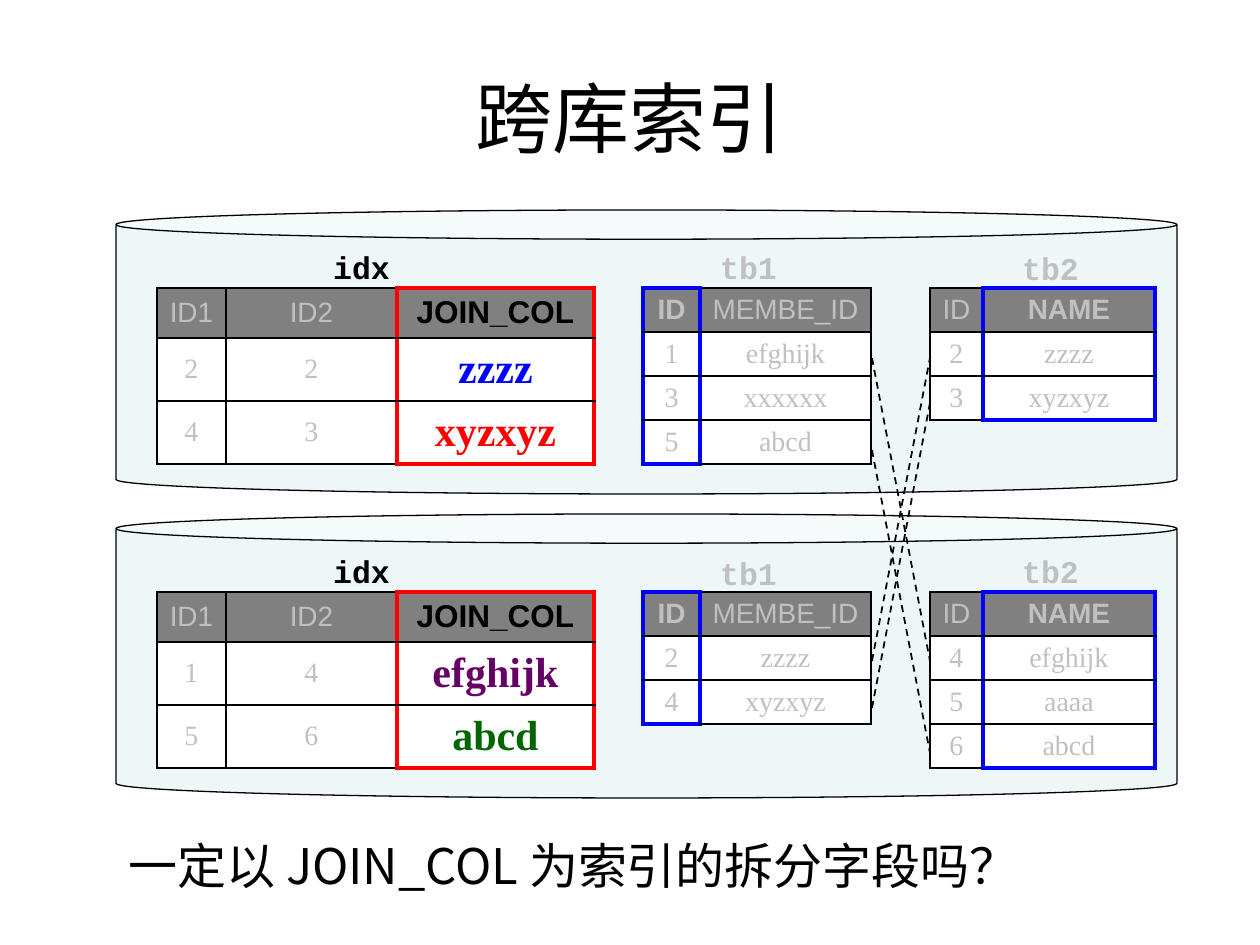
from lxml import etree
from pptx import Presentation
from pptx.dml.color import RGBColor
from pptx.enum.dml import MSO_LINE
from pptx.enum.shapes import MSO_CONNECTOR, MSO_SHAPE
from pptx.enum.text import MSO_ANCHOR, PP_ALIGN
from pptx.oxml.ns import qn
from pptx.util import Pt

PX = 7257
CAN, LINE, DASH = MSO_SHAPE.CAN, MSO_CONNECTOR.STRAIGHT, MSO_LINE.DASH
LEFT, MID = PP_ALIGN.LEFT, PP_ALIGN.CENTER
CENTER = MSO_ANCHOR.MIDDLE
SANS, SERIF, MONO, HAN = "Arial", "Times New Roman", "Courier New", "Noto Sans CJK SC"
BLACK, GREY, DARK, WHITE = "000000", "C0C0C0", "808080", "FFFFFF"
RED, BLUE, PLUM, GREEN = "FF0000", "0000FF", "660066", "006600"
hue = RGBColor.from_string


def write(frame, text, size=16, font=SANS, color=BLACK, bold=False, align=MID):
    para = frame.paragraphs[0]
    para.alignment = align
    run = para.add_run()
    run.text = text
    run.font.size = Pt(size)
    run.font.bold = bold
    run.font.color.rgb = hue(color)
    run.font.name = font
    etree.SubElement(run._r.get_or_add_rPr(), qn("a:ea")).set("typeface", font)


def edge(cell, side, color, width):
    line = etree.SubElement(cell._tc.get_or_add_tcPr(), qn("a:" + side))
    line.set("w", str(Pt(width)))
    fill = etree.SubElement(line, qn("a:solidFill"))
    etree.SubElement(fill, qn("a:srgbClr")).set("val", color)


deck = Presentation()
deck.slide_width, deck.slide_height = 1260 * PX, 945 * PX
slide = deck.slides.add_slide(deck.slide_layouts[5])
shapes = slide.shapes

title = shapes.title
title.left, title.top, title.width, title.height = 63 * PX, 38 * PX, 1134 * PX, 158 * PX
title.text_frame.vertical_anchor = CENTER
write(title.text_frame, "跨库索引", size=44, font=HAN)

for top in (514, 210):
    can = shapes.add_shape(CAN, 116 * PX, top * PX, 1061 * PX, 284 * PX)
    can.adjustments[0] = 0.103
    can.shadow.inherit = False
    can.fill.solid()
    can.fill.fore_color.rgb = hue("BBE0E3")
    tint = can._element.spPr.find(qn("a:solidFill"))[0]
    etree.SubElement(tint, qn("a:alpha")).set("val", "24000")
    can.line.color.rgb = hue(BLACK)
    can.line.width = Pt(0.75)

idx = (157, [69, 171, 197], [50, 63, 63], 2, RED)
tb1 = (643, [57, 171], [44] * 4, 0, BLUE)
tb2 = (930, [53, 172], [44] * 4, 1, BLUE)
join = ["ID1", "ID2", "JOIN_COL"]
user = ["ID", "MEMBE_ID"]
name = ["ID", "NAME"]
tables = [
    (tb1, 592, [user, ["2", "zzzz"], ["4", "xyzxyz"]]),
    (tb2, 592, [name, ["4", "efghijk"], ["5", "aaaa"], ["6", "abcd"]]),
    (tb1, 288, [user, ["1", "efghijk"], ["3", "xxxxxx"], ["5", "abcd"]]),
    (tb2, 288, [name, ["2", "zzzz"], ["3", "xyzxyz"]]),
    (idx, 288, [join, ["2", "2", "zzzz"], ["4", "3", "xyzxyz"]]),
    (idx, 592, [join, ["1", "4", "efghijk"], ["5", "6", "abcd"]]),
]
tones = {"JOIN_COL": BLACK, "zzzz": BLUE, "xyzxyz": RED, "efghijk": PLUM, "abcd": GREEN}

for (left, wide, tall, key, mark), top, rows in tables:
    tall = tall[:len(rows)]
    grid = shapes.add_table(len(rows), len(wide), left * PX, top * PX,
                            sum(wide) * PX, sum(tall) * PX).table
    grid.horz_banding = False
    for col, width in zip(grid.columns, wide):
        col.width = width * PX
    for i, row in enumerate(rows):
        grid.rows[i].height = tall[i] * PX
        for j, word in enumerate(row):
            cell = grid.cell(i, j)
            cell.margin_left = cell.margin_right = 6 * PX
            cell.margin_top = cell.margin_bottom = 2 * PX
            cell.vertical_anchor = CENTER
            head, hot = i == 0, j == key
            bold = hot and (head or mark == RED)
            size, color = 16, GREY
            if hot and mark == RED:
                size, color = 18 if head else 24, tones[word]
            write(cell.text_frame, word, size=size, color=color, bold=bold,
                  font=SANS if head else SERIF)
            thick = {
                "lnL": hot or j - 1 == key,
                "lnR": hot or j + 1 == key,
                "lnT": hot and head,
                "lnB": hot and i == len(rows) - 1,
            }
            for side, strong in thick.items():
                edge(cell, side, mark if strong else BLACK, 2.25 if strong else 1)
            cell.fill.solid()
            cell.fill.fore_color.rgb = hue(DARK if head else WHITE)

labels = [
    ("tb1", 696, 242, 105, GREY), ("tb1", 696, 548, 105, GREY),
    ("tb2", 998, 546, 105, GREY), ("tb2", 998, 243, 105, GREY),
    ("idx", 262, 242, 199, BLACK), ("idx", 262, 546, 199, BLACK),
]
for word, left, top, width, color in labels:
    box = shapes.add_textbox(left * PX, top * PX, width * PX, 50 * PX)
    box.text_frame.word_wrap = True
    write(box.text_frame, word, size=18, font=MONO, color=color, bold=True)

for start, end in ((358, 661), (450, 753), (661, 358), (708, 403)):
    link = shapes.add_connector(LINE, 872 * PX, start * PX, 930 * PX, end * PX)
    link.line.color.rgb = hue(BLACK)
    link.line.width = Pt(1)
    link.line.dash_style = DASH
    etree.SubElement(link._element.spPr, qn("a:effectLst"))

ask = shapes.add_textbox(116 * PX, 829 * PX, 966 * PX, 72 * PX)
ask.text_frame.word_wrap = True
write(ask.text_frame, "一定以 JOIN_COL 为索引的拆分字段吗？", size=28, font=HAN, align=LEFT)

deck.save("out.pptx")
